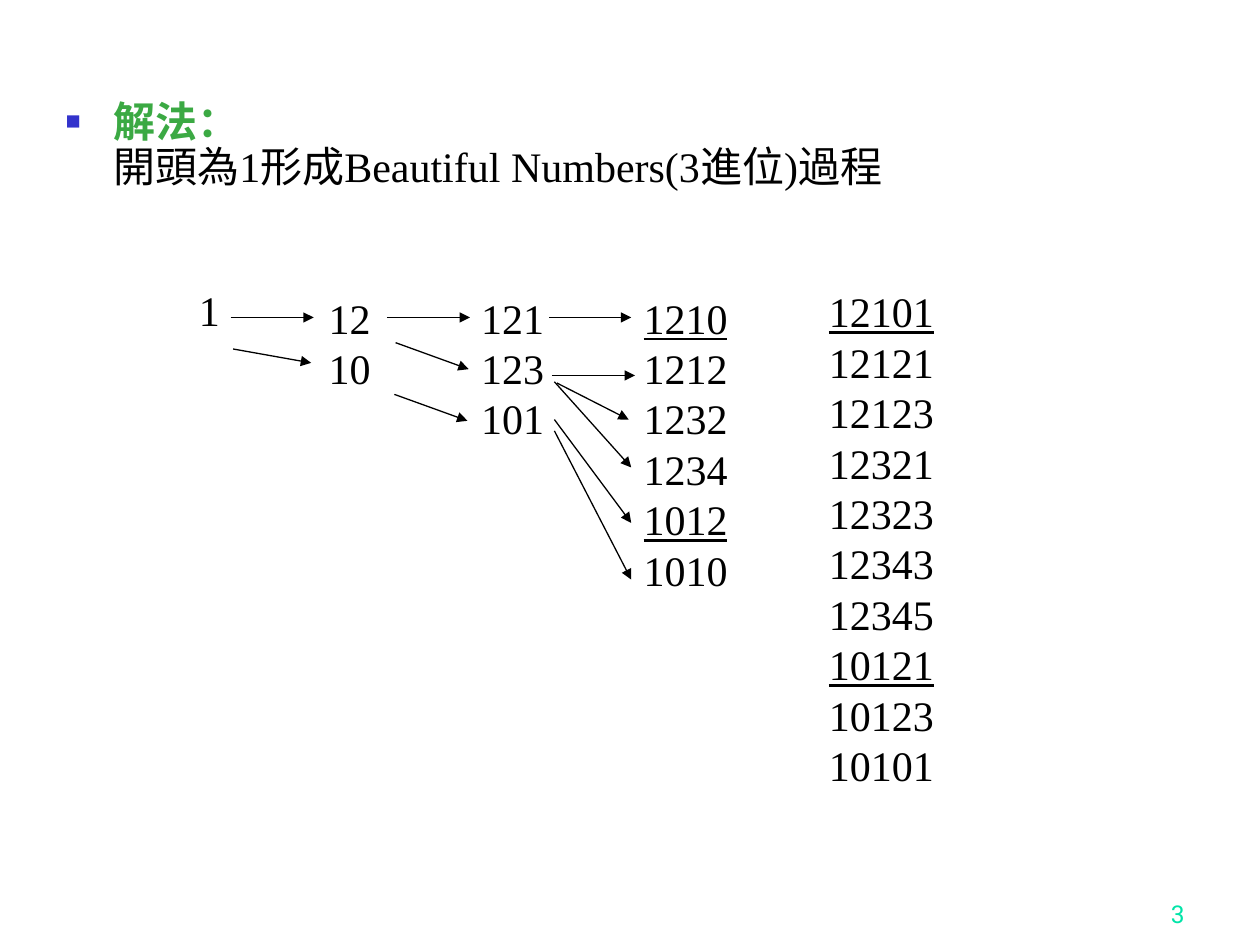
from lxml.etree import SubElement
from pptx import Presentation
from pptx.dml.color import RGBColor
from pptx.enum.shapes import MSO_CONNECTOR
from pptx.enum.text import MSO_ANCHOR, PP_ALIGN
from pptx.oxml.ns import qn
from pptx.util import Inches, Pt

BLACK = RGBColor(0x00, 0x00, 0x00)
GREEN = RGBColor(0x3B, 0xA9, 0x43)
BLUE = RGBColor(0x33, 0x33, 0xCC)
MINT = RGBColor(0x00, 0xE4, 0xA8)

# Content
HEADING = "解法："
SUBTITLE = "開頭為1形成Beautiful Numbers(3進位)過程"
PAGE_NUMBER = "3"
UNDERLINED = {"1210", "1012", "12101", "10121"}
# Left, top and width of each column, then its paragraphs of numbers
COLUMNS = [
    (1.48, 2.21, 0.5, ["1"]),
    (2.51, 2.27, 0.61, ["12", "10"]),
    (3.72, 2.27, 0.75, ["121", "123", "101"]),
    (5.01, 2.27, 0.94, ["1210 1212", "1232 1234", "1012 1010"]),
    (6.48, 2.22, 1.48, ["12101 12121 12123", "12321 12323 12343 12345",
                        "10121 10123 10101"]),
]
ROW_HEIGHT = 0.4
PADDING = 0.1
# Start and end of each arrow between neighbouring columns
ARROWS = [
    ((1.83, 2.52), (2.49, 2.52)), ((1.85, 2.77), (2.47, 2.88)),
    ((3.07, 2.52), (3.73, 2.52)), ((3.14, 2.72), (3.72, 2.93)),
    ((3.13, 3.13), (3.71, 3.34)),
    ((4.36, 2.52), (5.01, 2.52)), ((4.38, 2.98), (5.04, 2.98)),
    ((4.42, 3.04), (4.99, 3.33)), ((4.40, 3.03), (5.01, 3.71)),
    ((4.40, 3.33), (5.01, 4.15)), ((4.40, 3.42), (5.01, 4.60)),
]


def add_run(paragraph, text, size=24, name="Times New Roman", color=BLACK,
            bold=False, underline=False):
    run = paragraph.add_run()
    run.text = text
    run.font.size = Pt(size)
    run.font.name = name
    run.font.color.rgb = color
    run.font.bold = bold
    run.font.underline = underline


def add_text_box(slide, left, top, width, height):
    box = slide.shapes.add_textbox(*map(Inches, (left, top, width, height)))
    box.text_frame.word_wrap = True
    return box.text_frame


def add_square_bullet(paragraph, indent):
    properties = paragraph._p.get_or_add_pPr()
    properties.set("marL", str(Inches(indent)))
    properties.set("indent", str(-Inches(indent)))
    color = SubElement(properties, qn("a:buClr"))
    SubElement(color, qn("a:srgbClr"), val=str(BLUE))
    SubElement(properties, qn("a:buSzPct"), val="60000")
    SubElement(properties, qn("a:buChar"), char="■")


def add_column(slide, left, top, width, groups):
    rows = sum(len(group.split()) for group in groups)
    frame = add_text_box(slide, left, top, width, rows * ROW_HEIGHT + PADDING)
    for index, group in enumerate(groups):
        paragraph = frame.add_paragraph() if index else frame.paragraphs[0]
        paragraph.line_spacing = Inches(ROW_HEIGHT)
        for row, number in enumerate(group.split()):
            if row:
                paragraph.add_line_break()
            add_run(paragraph, number, underline=number in UNDERLINED)


def add_arrow(slide, start, end):
    arrow = slide.shapes.add_connector(
        MSO_CONNECTOR.STRAIGHT, *map(Inches, start + end))
    arrow.line.color.rgb = BLACK
    arrow.line.width = Pt(0.75)
    SubElement(arrow.line._get_or_add_ln(), qn("a:tailEnd"), type="triangle")
    SubElement(arrow._element.spPr, qn("a:effectLst"))


def main():
    presentation = Presentation()
    presentation.slide_width = Inches(10)
    presentation.slide_height = Inches(7.5)
    slide = presentation.slides.add_slide(presentation.slide_layouts[1])
    title = slide.shapes.title._element
    title.getparent().remove(title)

    # Page number
    frame = add_text_box(slide, 7.42, 6.92, 2.08, 0.5)
    frame.vertical_anchor = MSO_ANCHOR.BOTTOM
    frame.paragraphs[0].alignment = PP_ALIGN.RIGHT
    add_run(frame.paragraphs[0], PAGE_NUMBER, size=14, name="Roboto", color=MINT)

    # Heading and explanation
    body = slide.placeholders[1]
    body.left, body.top = Inches(0.42), Inches(0.75)
    body.width, body.height = Inches(8.83), Inches(6.15)
    paragraph = body.text_frame.paragraphs[0]
    paragraph.line_spacing = 0.9
    paragraph.space_before = Pt(0)
    add_square_bullet(paragraph, 0.38)
    add_run(paragraph, HEADING, color=GREEN, bold=True)
    paragraph.add_line_break()
    add_run(paragraph, SUBTITLE)

    # Number tree
    for column in COLUMNS:
        add_column(slide, *column)
    for start, end in ARROWS:
        add_arrow(slide, start, end)

    presentation.save("out.pptx")


if __name__ == "__main__":
    main()
